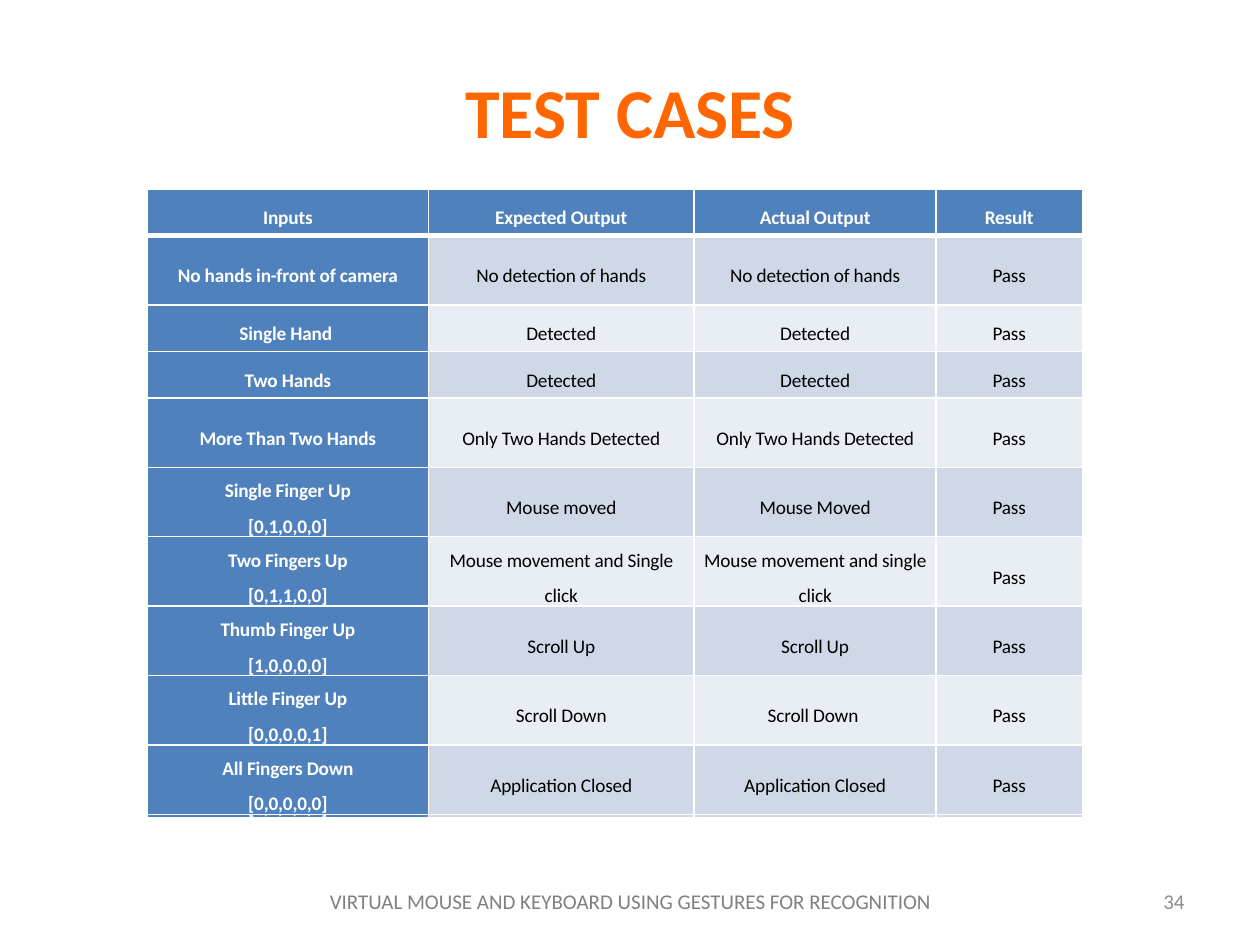
import pptx
import pptx.dml.color
import pptx.enum.text
import pptx.oxml
import pptx.oxml.ns
import pptx.util
from dataclasses import dataclass
from pptx.util import Inches


@dataclass(frozen=True)
class Theme:
    font: str = "Calibri"
    title_color: str = "FF6600"
    footer_color: str = "808080"
    number_color: str = "8C8C8C"
    header_fill: str = "4F81BD"
    odd_fill: str = "D0D8E8"
    even_fill: str = "E9EDF4"
    light: str = "FFFFFF"
    dark: str = "000000"
    title_size: int = 40
    table_size: int = 11
    footer_size: int = 12


theme = Theme()
align = pptx.enum.text.PP_ALIGN
middle = pptx.enum.text.MSO_ANCHOR.MIDDLE


def write_text(frame, text, *, size, color, bold=False, alignment=align.CENTER,
               line_spacing=None, tracking=None):
    frame.word_wrap = True
    for index, line in enumerate(text.split("\n")):
        paragraph = frame.paragraphs[0] if index == 0 else frame.add_paragraph()
        paragraph.alignment = alignment
        paragraph.line_spacing = line_spacing
        run = paragraph.add_run()
        run.text = line
        run.font.name = theme.font
        run.font.size = pptx.util.Pt(size)
        run.font.bold = bold
        run.font.color.rgb = pptx.dml.color.RGBColor.from_string(color)
        if tracking is not None:
            run.font._element.set("spc", str(round(tracking * 100)))


def add_border(cell, side, width):
    cell._tc.get_or_add_tcPr().append(pptx.oxml.parse_xml(
        f'<a:ln{side} {pptx.oxml.ns.nsdecls("a")} w="{pptx.util.Pt(width)}">'
        f'<a:solidFill><a:srgbClr val="{theme.light}"/></a:solidFill></a:ln{side}>'))


presentation = pptx.Presentation()
presentation.slide_width = Inches(10)
presentation.slide_height = Inches(7.5)
slide = presentation.slides.add_slide(presentation.slide_layouts[5])

# Title
title = slide.shapes.title
title.left, title.top = Inches(0.5), Inches(0.25)
title.width, title.height = Inches(9), Inches(1.25)
title.text_frame.vertical_anchor = middle
write_text(title.text_frame, "TEST CASES", size=theme.title_size,
           color=theme.title_color, bold=True)

# Footer and slide number
footers = [
    ("VIRTUAL MOUSE AND KEYBOARD USING GESTURES FOR RECOGNITION",
     2.38, 5.25, theme.footer_color, align.CENTER),
    ("34", 7.17, 2.33, theme.number_color, align.RIGHT),
]
for text, left, width, color, alignment in footers:
    shape = slide.shapes.add_textbox(Inches(left), Inches(6.95), Inches(width), Inches(0.4))
    shape.text_frame.vertical_anchor = middle
    write_text(shape.text_frame, text, size=theme.footer_size, color=color,
               alignment=alignment)

# Test cases: input, expected output, actual output; every one passes
cases = [
    ("No hands in-front of camera", "No detection of hands", "No detection of hands"),
    ("Single Hand ", "Detected", "Detected"),
    ("Two Hands", "Detected", "Detected"),
    ("More Than Two Hands", "Only Two Hands Detected", "Only Two Hands Detected"),
    ("Single Finger Up\n[0,1,0,0,0]", "Mouse moved", "Mouse Moved"),
    ("Two Fingers Up\n[0,1,1,0,0]", "Mouse movement and Single click",
     "Mouse movement and single click"),
    ("Thumb Finger Up\n[1,0,0,0,0]", "Scroll Up", "Scroll Up"),
    ("Little Finger Up\n[0,0,0,0,1]", "Scroll Down", "Scroll Down "),
    ("All Fingers Down\n[0,0,0,0,0]", "Application Closed", "Application Closed"),
]
rows = [("Inputs", "Expected Output", "Actual Output", "Result")]
rows += [(*case, "Pass") for case in cases]
column_widths = [2.23, 2.11, 1.92, 1.16]
short_rows = {0, 2, 3}

# Two stacked tables: the back one shows as a strip below the front one
for top in (1.53, 1.5):
    table = slide.shapes.add_table(len(rows), len(column_widths), Inches(1.17), Inches(top),
                                   Inches(sum(column_widths)), Inches(4.97)).table
    table.horz_banding = False
    for column, width in zip(table.columns, column_widths):
        column.width = Inches(width)
    for row_index, values in enumerate(rows):
        table.rows[row_index].height = Inches(0.37 if row_index in short_rows else 0.55)
        for column_index, text in enumerate(values):
            cell = table.cell(row_index, column_index)
            is_header = row_index == 0 or column_index == 0
            cell.vertical_anchor = middle
            cell.margin_left = cell.margin_right = Inches(0.07)
            cell.margin_top = cell.margin_bottom = 0

            # Borders, with a thick rule under the header row
            add_border(cell, "L", 1)
            add_border(cell, "R", 1)
            add_border(cell, "T", 3 if row_index == 1 else 1)
            add_border(cell, "B", 3 if row_index == 0 else 1)

            # Fill and text
            band = theme.odd_fill if row_index % 2 else theme.even_fill
            cell.fill.solid()
            cell.fill.fore_color.rgb = pptx.dml.color.RGBColor.from_string(
                theme.header_fill if is_header else band)
            write_text(cell.text_frame, text, size=theme.table_size,
                       color=theme.light if is_header else theme.dark,
                       bold=is_header, line_spacing=1.5, tracking=-0.1)

presentation.save("out.pptx")
